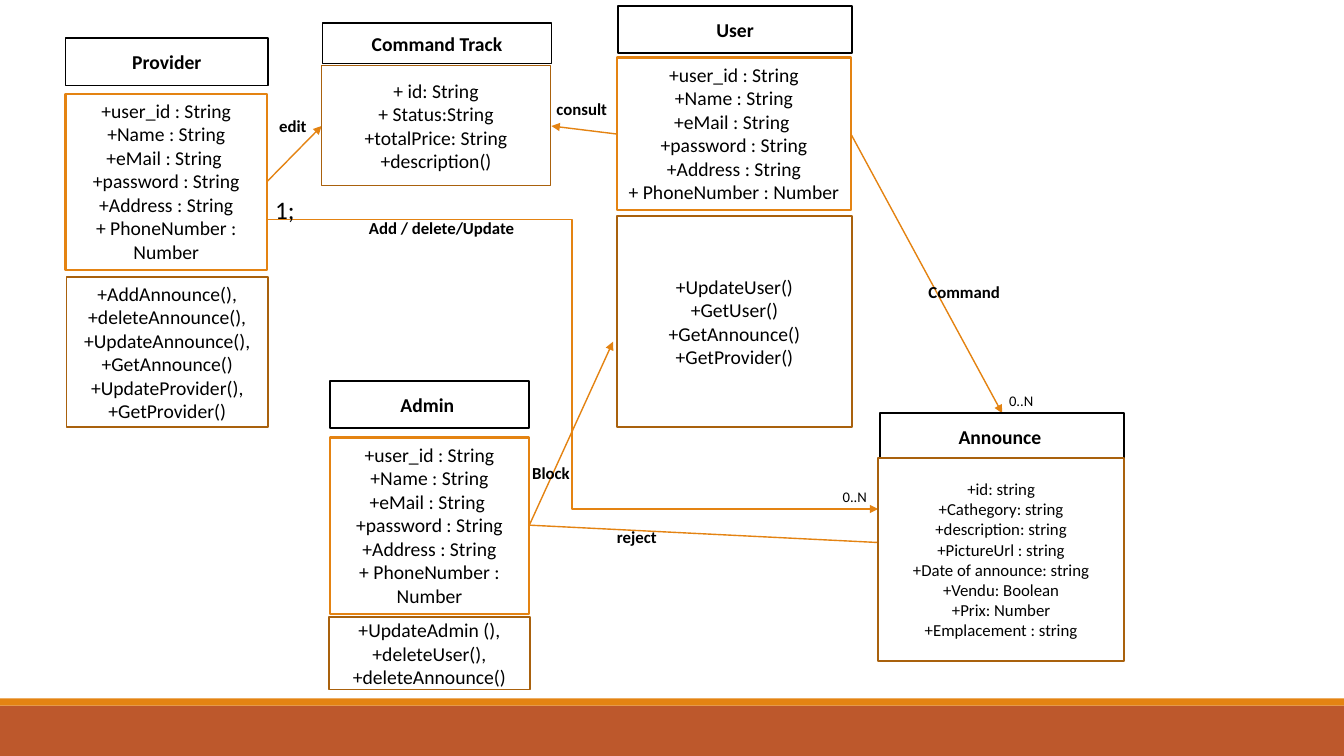
from lxml.etree import SubElement
from pptx import Presentation
from pptx.dml.color import RGBColor
from pptx.enum.shapes import MSO_CONNECTOR, MSO_SHAPE
from pptx.enum.text import MSO_ANCHOR, PP_ALIGN
from pptx.oxml.ns import qn
from pptx.util import Emu, Pt

PX = 9144  # 100 px to the inch
COLORS = {"text": "000000", "paper": "FFFFFF", "orange": "E48312",
          "brown": "A9610D", "rust": "BD582C"}

# Box kind: outline colour, outline width, fill, anchor, bold
KINDS = {
    "title": ("text", 1.25, "paper", MSO_ANCHOR.MIDDLE, True),
    "fields": ("orange", 1.5, None, MSO_ANCHOR.TOP, False),
    "members": ("brown", 1.25, "paper", MSO_ANCHOR.MIDDLE, False),
}


class Diagram:
    font = "Calibri"

    def __init__(self, prs):
        self.s = prs.slides.add_slide(prs.slide_layouts[6])

    def color(self, name):
        return RGBColor.from_string(COLORS[name])

    def px(self, *lengths):
        return [Emu(n * PX) for n in lengths]

    def fill_text(self, sp, lines, size, bold=False, align=PP_ALIGN.LEFT,
                  anchor=MSO_ANCHOR.TOP, wrap=True):
        tf = sp.text_frame
        for key, value in {"word_wrap": wrap, "vertical_anchor": anchor}.items():
            setattr(tf, key, value)
        for i, line in enumerate(lines):
            p = tf.add_paragraph() if i else tf.paragraphs[0]
            p.alignment = align
            r = p.add_run()
            r.text = line
            style = {"name": self.font, "size": Pt(size), "bold": bold}
            for key, value in style.items():
                setattr(r.font, key, value)
            r.font.color.rgb = self.color("text")

    def rect(self, at, fill=None, line=None, width=1):
        sp = self.s.shapes.add_shape(MSO_SHAPE.RECTANGLE, *self.px(*at))
        sp.shadow.inherit = False
        if fill:
            sp.fill.solid()
            sp.fill.fore_color.rgb = self.color(fill)
        else:
            sp.fill.background()
        if line:
            sp.line.color.rgb = self.color(line)
            sp.line.width = Pt(width)
        else:
            sp.line.fill.background()
        return sp

    def box(self, kind, at, lines, size=14):
        line, width, fill, anchor, bold = KINDS[kind]
        sp = self.rect(at, fill, line, width)
        self.fill_text(sp, lines, size, bold, PP_ALIGN.CENTER, anchor)

    def arrow(self, ends, kind=MSO_CONNECTOR.STRAIGHT):
        c = self.s.shapes.add_connector(kind, *self.px(*ends))
        c.line.color.rgb = self.color("orange")
        c.line.width = Pt(1)
        props = c.element.spPr
        SubElement(props.find(qn("a:ln")), qn("a:tailEnd"), type="triangle")
        SubElement(props, qn("a:effectLst"))

    def label(self, text, at, size=12, bold=True, wrap=True):
        sp = self.s.shapes.add_textbox(*self.px(*at))
        self.fill_text(sp, [text], size, bold, wrap=wrap)


ACCOUNT = ["+user_id : String", "+Name : String", "+eMail : String ",
           "+password : String", "+Address : String", "+ PhoneNumber : Number"]

BOXES = [
    # Provider
    ("title", (65, 38, 201, 47), ["Provider"]),
    ("fields", (65, 93, 200, 175), ACCOUNT),
    ("members", (66, 275, 200, 149),
     ["+AddAnnounce(),", "+deleteAnnounce(),", "+UpdateAnnounce(),",
      "+GetAnnounce()", "+UpdateProvider(),", "+GetProvider()"]),
    # Command Track
    ("title", (320, 23, 227, 40), ["Command Track"]),
    ("members", (319, 65, 227, 119),
     ["+ id: String", "+ Status:String", "+totalPrice: String", "+description()"]),
    # User
    ("title", (613, 6, 232, 47), ["User"]),
    ("fields", (612, 57, 232, 151), ACCOUNT),
    ("members", (612, 214, 233, 210),
     ["+UpdateUser()", "+GetUser()", "+GetAnnounce()", "+GetProvider()"]),
    # Admin
    ("title", (327, 378, 198, 47), ["Admin "]),
    ("fields", (327, 434, 198, 175), ACCOUNT),
    ("members", (326, 612, 200, 72),
     ["+UpdateAdmin (),", "+deleteUser(),", "+deleteAnnounce()"]),
    # Announce
    ("title", (873, 410, 242, 47), ["Announce "]),
    ("members", (871, 454, 244, 202),
     ["+id: string", "+Cathegory: string", "+description: string",
      "+PictureUrl : string", "+Date of announce: string", "+Vendu: Boolean",
      "+Prix: Number", "+Emplacement : string"], 12),
]

ARROWS = [
    (525, 521, 608, 339),   # Admin blocks User
    (525, 521, 1027, 546),  # Admin rejects Announce
    (265, 180, 319, 125),   # Provider edits Command Track
    (612, 133, 547, 125),   # User consults Command Track
    (844, 133, 994, 410),   # User commands Announce
]

RELATIONS = [
    ("reject", (602, 518, 62, 30)),
    ("Add / delete/Update", (356, 211, 169, 30)),
    ("consult", (542, 93, 79, 30)),
    ("edit", (267, 110, 48, 30)),
    ("Block", (518, 454, 58, 30)),
    ("Command", (911, 275, 276, 30)),
]


def main():
    prs = Presentation()
    prs.slide_width, prs.slide_height = Emu(1333 * PX), Emu(750 * PX)
    d = Diagram(prs)

    # Footer bands
    d.rect((0, 700, 1333, 50), "rust")
    d.rect((0, 693, 1333, 7), "orange")

    # Arrows lie under the class boxes
    for ends in ARROWS:
        d.arrow(ends)
    d.arrow((264, 218, 871, 505), MSO_CONNECTOR.ELBOW)

    # Class boxes
    for box in BOXES:
        d.box(*box)

    # Relation names and multiplicities
    for text, at in RELATIONS:
        d.label(text, at)
    for x, y in [(991, 384), (826, 479)]:
        d.label("0..N", (x, y, 47, 28), 10.5, bold=False)
    d.label("1;", (263, 188, 40, 40), 18, bold=False, wrap=False)

    prs.save("out.pptx")


if __name__ == "__main__":
    main()
